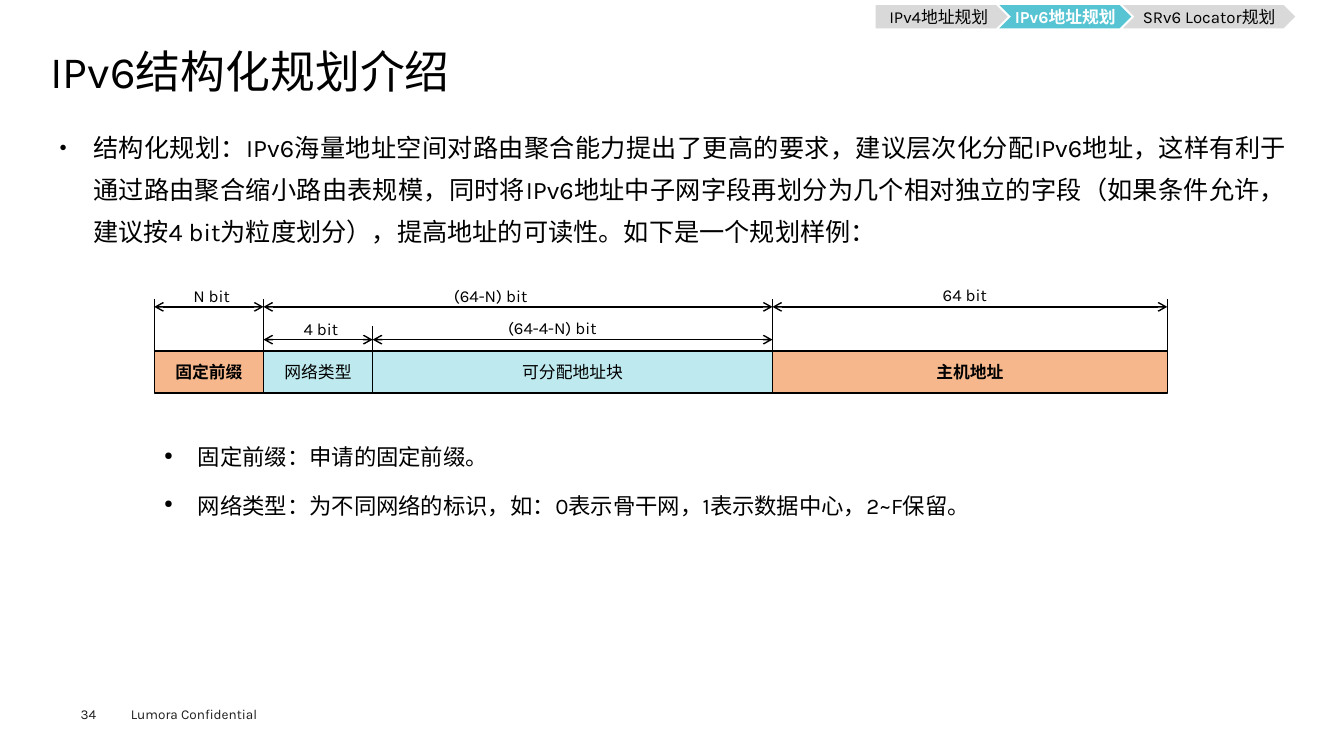
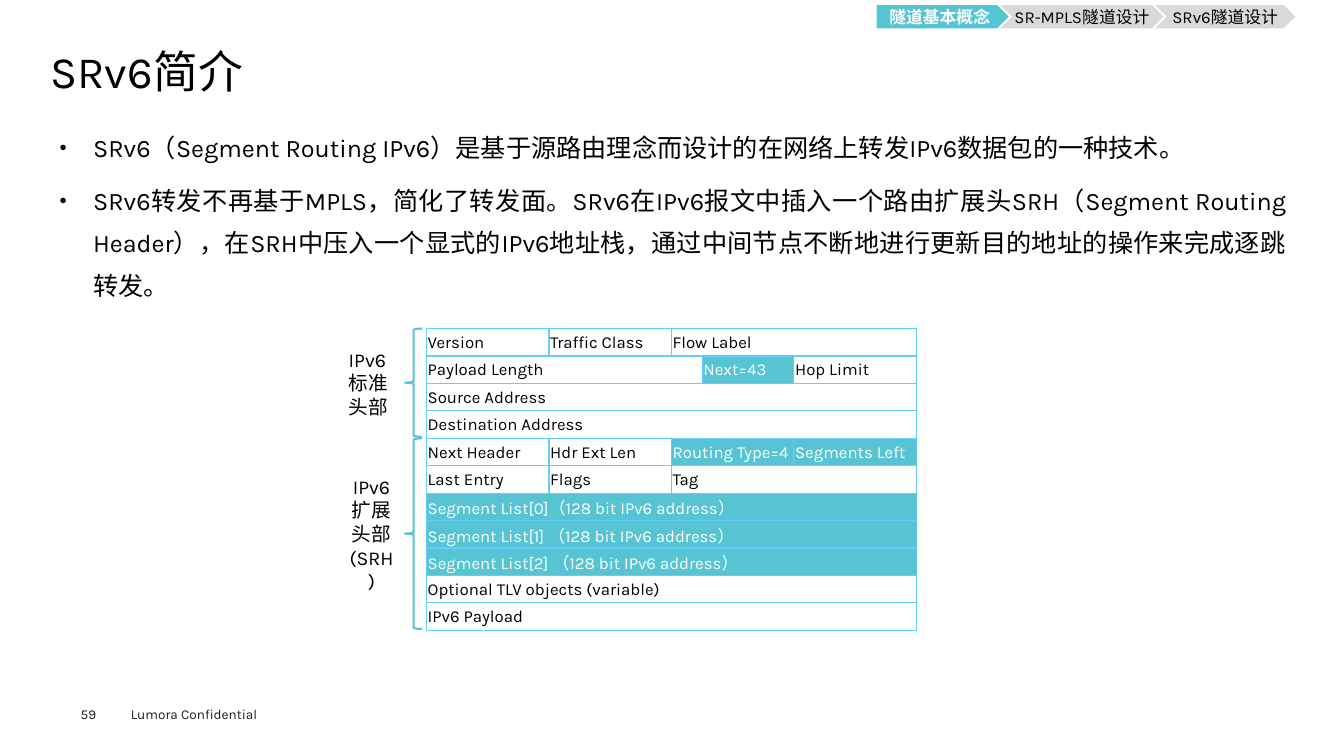
from collections import namedtuple
from dataclasses import dataclass
from itertools import accumulate

from lxml.etree import SubElement
from pptx import Presentation
from pptx.dml.color import RGBColor
from pptx.enum.shapes import MSO_CONNECTOR, MSO_SHAPE
from pptx.enum.text import MSO_ANCHOR, MSO_AUTO_SIZE, PP_ALIGN
from pptx.oxml.ns import qn
from pptx.util import Pt

Box = namedtuple("Box", "left top width height")
Span = namedtuple("Span", "start end line_y label label_x label_y")


@dataclass(frozen=True)
class Theme:
    """Colours, font and type sizes shared by the slides."""

    font: str = "Karla"
    black: str = "000000"
    white: str = "FFFFFF"
    footer_ink: str = "1D1D1B"
    accent: str = "56C4D2"
    inactive: str = "D9D9D9"
    pale: str = "BEE9EE"
    orange: str = "F6B78C"
    grid: str = "66CCFF"
    title_size: float = 32
    body_size: float = 18
    note_size: float = 16
    brace_size: float = 14
    small_size: float = 12
    footer_size: float = 9.7


THEME = Theme()
TITLE = Box(36, 35.3, 889.2, 38.2)
TRAIL_RIGHT, TRAIL_TOP, TRAIL_HEIGHT, TRAIL_OVERLAP = 925.2, 3.6, 16.6, 6
CONFIDENTIALITY = "Lumora Confidential"


def rgb(code):
    """Turn a hex code into a colour."""
    return RGBColor.from_string(code)


def points(box):
    """Turn a box into lengths in points."""
    return [Pt(value) for value in box]


def write(frame, text, size, color=THEME.black, bold=False,
          align=PP_ALIGN.LEFT, anchor=MSO_ANCHOR.TOP, insets=(7.2, 3.6), wrap=True):
    """Fill a text frame and format all its runs."""
    frame.text = text
    frame.auto_size = MSO_AUTO_SIZE.NONE
    frame.word_wrap = wrap
    frame.vertical_anchor = anchor
    frame.margin_left = frame.margin_right = Pt(insets[0])
    frame.margin_top = frame.margin_bottom = Pt(insets[1])
    for paragraph in frame.paragraphs:
        paragraph.alignment = align
        for run in paragraph.runs:
            run.font.name = THEME.font
            run.font.size = Pt(size)
            run.font.bold = bold
            run.font.color.rgb = rgb(color)


def write_list(frame, items, size, insets=(7.2, 3.6)):
    """Write justified items with small round bullets."""
    write(frame, "\n".join(items), size, align=PP_ALIGN.JUSTIFY, insets=insets)
    for position, paragraph in enumerate(frame.paragraphs):
        properties = paragraph._p.get_or_add_pPr()
        properties.set("marL", str(Pt(24)))
        properties.set("indent", str(-Pt(24)))
        SubElement(properties, qn("a:buSzPct"), val="50000")
        SubElement(properties, qn("a:buChar"), char="●")
        paragraph.line_spacing = 1.4
        paragraph.space_before = Pt(7.9 if position else 0)


def add_label(slide, box, text, size, **style):
    """Add a text box with formatted text."""
    label = slide.shapes.add_textbox(*points(box))
    write(label.text_frame, text, size, **style)


def add_figure(slide, preset, box, fill=None, line=None, weight=1):
    """Add a flat preset shape."""
    figure = slide.shapes.add_shape(preset, *points(box))
    figure.shadow.inherit = False
    if fill:
        figure.fill.solid()
        figure.fill.fore_color.rgb = rgb(fill)
    else:
        figure.fill.background()
    if line:
        figure.line.color.rgb = rgb(line)
        figure.line.width = Pt(weight)
    else:
        figure.line.fill.background()
    return figure


def add_rule(slide, start, end, arrows=False):
    """Draw a thin straight line, with open arrowheads if asked."""
    rule = slide.shapes.add_connector(
        MSO_CONNECTOR.STRAIGHT, *points((*start, *end)))
    rule.line.color.rgb = rgb(THEME.black)
    rule.line.width = Pt(1)
    if arrows:
        for tag in ("a:headEnd", "a:tailEnd"):
            SubElement(rule.line._get_or_add_ln(), qn(tag), type="arrow")
    SubElement(rule._element.spPr, qn("a:effectLst"))


def add_trail(slide, steps, current):
    """Draw the right-aligned chapter trail and highlight the current step."""
    widths = [width for _, width in steps]
    left = TRAIL_RIGHT - sum(widths) + TRAIL_OVERLAP * (len(steps) - 1)
    for position, (name, width) in enumerate(steps):
        preset = MSO_SHAPE.CHEVRON if position else MSO_SHAPE.PENTAGON
        active = position == current
        step = add_figure(slide, preset, Box(left, TRAIL_TOP, width, TRAIL_HEIGHT),
                          THEME.accent if active else THEME.inactive)
        write(step.text_frame, name, THEME.small_size,
              THEME.white if active else THEME.black, active,
              PP_ALIGN.CENTER, MSO_ANCHOR.MIDDLE, (0, 0), wrap=False)
        left += width - TRAIL_OVERLAP


def add_footer(slide, number):
    """Add the page number and the confidentiality notice."""
    add_label(slide, Box(57.6, 504, 39.6, 11.5), str(number), THEME.footer_size,
              color=THEME.footer_ink, insets=(0, 0))
    add_label(slide, Box(86.4, 500.4, 115.2, 19.4), CONFIDENTIALITY,
              THEME.footer_size, color=THEME.footer_ink)


def add_content_slide(deck, number, title, items, body_height, steps, current):
    """Add a slide with title, list, chapter trail and footer."""
    slide = deck.slides.add_slide(deck.slide_layouts[1])
    heading, body = slide.placeholders
    body_box = Box(TITLE.left, 82.8, TITLE.width, body_height)
    for part, box in ((heading, TITLE), (body, body_box)):
        part.left, part.top, part.width, part.height = points(box)
    write(heading.text_frame, title, THEME.title_size, insets=(0, 0))
    heading.text_frame.paragraphs[0].line_spacing = 0.9
    write_list(body.text_frame, items, THEME.body_size, (6.5, 2.9))
    add_footer(slide, number)
    add_trail(slide, steps, current)
    return slide


def add_address_diagram(slide, box):
    """Draw the address fields with their bit widths above."""
    fields = [("固定前缀", 78, True), ("网络类型", 78, False),
              ("可分配地址块", 285.6, False), ("主机地址", 282, True)]
    edges = list(accumulate((width for _, width, _ in fields), initial=box.left))
    bar_height = 30.2
    bar_top = box.top + box.height - bar_height
    for edge, rise in zip(edges, (36.7, 36.7, 18, 36.7, 36.7)):
        add_rule(slide, (edge, bar_top), (edge, bar_top - rise))
    for left, (name, width, fixed) in zip(edges, fields):
        field = add_figure(slide, MSO_SHAPE.RECTANGLE,
                           Box(left, bar_top, width, bar_height),
                           THEME.orange if fixed else THEME.pale, THEME.black)
        write(field.text_frame, name, THEME.small_size, bold=fixed,
              align=PP_ALIGN.CENTER, anchor=MSO_ANCHOR.MIDDLE)
    upper, lower = bar_top - 31.4, bar_top - 8
    spans = [Span(0, 1, upper, "N bit", 41, 1),
             Span(1, 3, upper, "(64-N) bit", 240.3, 0.5),
             Span(3, 4, upper, "64 bit", 579, -0.2),
             Span(1, 2, lower, "4 bit", 119, 24),
             Span(2, 3, lower, "(64-4-N) bit", 284.4, 23.6)]
    for span in spans:
        add_rule(slide, (edges[span.start], span.line_y),
                 (edges[span.end], span.line_y), arrows=True)
        add_label(slide, Box(box.left + span.label_x - 50, box.top + span.label_y,
                             100, 21.6),
                  span.label, THEME.small_size, align=PP_ALIGN.CENTER)


def add_field_notes(slide, box):
    """Explain the address fields in a second list."""
    notes = slide.shapes.add_textbox(*points(box))
    write_list(notes.text_frame, [
        "固定前缀：申请的固定前缀。",
        "网络类型：为不同网络的标识，如：0表示骨干网，1表示数据中心，2~F保留。",
    ], THEME.note_size)


def format_cell(cell, text, filled):
    """Write one header field and set its fill."""
    write(cell.text_frame, text, THEME.small_size,
          THEME.white if filled else THEME.black)
    cell.vertical_anchor = MSO_ANCHOR.MIDDLE
    if filled:
        cell.fill.solid()
        cell.fill.fore_color.rgb = rgb(THEME.accent)
    else:
        cell.fill.background()


def add_borders(cell):
    """Draw thin borders and set narrow margins for a cell."""
    properties = cell._tc.get_or_add_tcPr()
    for side in ("a:lnL", "a:lnR", "a:lnT", "a:lnB"):
        border = SubElement(properties, qn(side), w=str(Pt(1)))
        fill = SubElement(border, qn("a:solidFill"))
        SubElement(fill, qn("a:srgbClr"), val=THEME.grid)
    cell.margin_left = cell.margin_right = cell.margin_top = Pt(0.9)
    cell.margin_bottom = Pt(0)


def add_packet_table(slide, box):
    """Draw the packet header, each field as name, columns and highlight."""
    widths = (87.5, 87.5, 22, 65.5, 87.5)
    packet = [
        [("Version", 1, False), ("Traffic Class", 1, False), ("Flow Label", 3, False)],
        [("Payload Length", 3, False), ("Next=43", 1, True), ("Hop Limit", 1, False)],
        [("Source Address", 5, False)],
        [("Destination Address", 5, False)],
        [("Next Header", 1, False), ("Hdr Ext Len", 1, False),
         ("Routing Type=4", 2, True), ("Segments Left", 1, True)],
        [("Last Entry", 1, False), ("Flags", 1, False), ("Tag", 3, False)],
        [("Segment List[0]（128 bit IPv6 address）", 5, True)],
        [("Segment List[1] （128 bit IPv6 address）", 5, True)],
        [("Segment List[2] （128 bit IPv6 address）", 5, True)],
        [("Optional TLV objects (variable)", 5, False)],
        [("IPv6 Payload", 5, False)],
    ]
    table = slide.shapes.add_table(len(packet), len(widths), *points(box)).table
    table.first_row = table.horz_banding = False
    for column, width in zip(table.columns, widths):
        column.width = Pt(width)
    for row in table.rows:
        row.height = Pt(box.height / len(packet))
    for row, fields in enumerate(packet):
        column = 0
        for name, span, filled in fields:
            first = table.cell(row, column)
            if span > 1:
                first.merge(table.cell(row, column + span - 1))
            format_cell(first, name, filled)
            column += span
    for cell in table.iter_cells():
        cell.text_frame.word_wrap = True
        add_borders(cell)
        properties = cell._tc.tcPr
        for fill in properties.findall(qn("a:solidFill")) + properties.findall(qn("a:noFill")):
            properties.append(fill)


def add_header_braces(slide, box, row_height):
    """Bracket the table rows of each header and name it."""
    headers = [("IPv6标准头部", 4, PP_ALIGN.LEFT),
               ("IPv6扩展头部(SRH)", 7, PP_ALIGN.CENTER)]
    top = box.top
    for name, rows, align in headers:
        height = rows * row_height
        add_figure(slide, MSO_SHAPE.LEFT_BRACE,
                   Box(box.left + box.width - 12.2, top, 12.2, height - 1),
                   line=THEME.accent, weight=1.5)
        add_label(slide, Box(box.left, top, 46.8, height - 1), name,
                  THEME.brace_size, align=align, anchor=MSO_ANCHOR.MIDDLE)
        top += height


def build_address_slide(deck):
    """Build the slide on structured address planning."""
    slide = add_content_slide(deck, 34, "IPv6结构化规划介绍", [
        "结构化规划：IPv6海量地址空间对路由聚合能力提出了更高的要求，建议层次化分配IPv6地址，"
        "这样有利于通过路由聚合缩小路由表规模，同时将IPv6地址中子网字段再划分为几个相对独立的字段"
        "（如果条件允许，建议按4 bit为粒度划分），提高地址的可读性。如下是一个规划样例：",
    ], 114.5, [("IPv4地址规划", 94.3), ("IPv6地址规划", 94.3),
               ("SRv6 Locator规划", 123.1)], 1)
    add_address_diagram(slide, Box(110.2, 199.8, 723.6, 81))
    add_field_notes(slide, Box(110.2, 305.3, 697.7, 69.8))


def build_srv6_slide(deck):
    """Build the slide that introduces SRv6."""
    slide = add_content_slide(deck, 59, "SRv6简介", [
        "SRv6（Segment Routing IPv6）是基于源路由理念而设计的在网络上转发IPv6数据包的一种技术。",
        "SRv6转发不再基于MPLS，简化了转发面。SRv6在IPv6报文中插入一个路由扩展头SRH"
        "（Segment Routing Header），在SRH中压入一个显式的IPv6地址栈，"
        "通过中间节点不断地进行更新目的地址的操作来完成逐跳转发。",
    ], 150.5, [("隧道基本概念", 94.3), ("SR-MPLS隧道设计", 116.6),
               ("SRv6隧道设计", 100.1)], 0)
    packet = Box(304.6, 234.7, 350, 215.6)
    add_packet_table(slide, packet)
    add_header_braces(slide, Box(242, packet.top, 59.6, packet.height),
                      packet.height / 11)


def main():
    """Build and save the deck."""
    deck = Presentation()
    deck.slide_width, deck.slide_height = Pt(960), Pt(540)
    build_address_slide(deck)
    build_srv6_slide(deck)
    deck.save("out.pptx")


if __name__ == "__main__":
    main()
